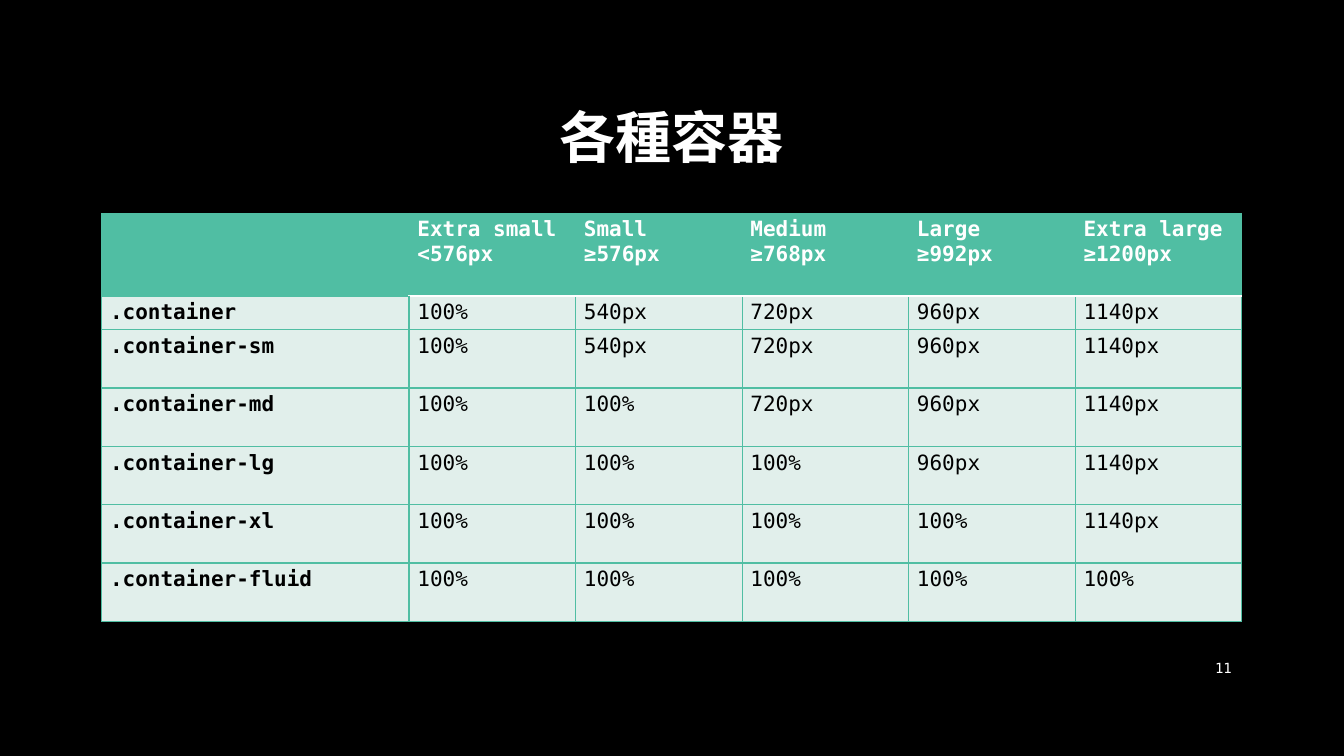
from lxml.etree import SubElement
from pptx import Presentation
from pptx.dml.color import RGBColor
from pptx.enum.text import MSO_ANCHOR, PP_ALIGN
from pptx.oxml.ns import qn
from pptx.util import Pt

FONT = "DejaVu Sans Mono"
BLACK, WHITE, GREEN, MINT = "000000", "FFFFFF", "50BEA3", "E1EFEB"

COLUMN_WIDTHS = [219.6] + [118.95] * 5
ROW_HEIGHTS = [59.2, 23.6] + [41.65] * 5
# A vertical tab is a line break inside a paragraph.
CONTAINER_WIDTHS = [
    ["", "Extra small\v<576px", "Small\v≥576px", "Medium\v≥768px",
     "Large\v≥992px", "Extra large\v≥1200px"],
    [".container", "100%", "540px", "720px", "960px", "1140px"],
    [".container-sm", "100%", "540px", "720px", "960px", "1140px"],
    [".container-md", "100%", "100%", "720px", "960px", "1140px"],
    [".container-lg", "100%", "100%", "100%", "960px", "1140px"],
    [".container-xl", "100%", "100%", "100%", "100%", "1140px"],
    [".container-fluid", "100%", "100%", "100%", "100%", "100%"],
]


def paint(fill, color):
    fill.solid()
    fill.fore_color.rgb = RGBColor.from_string(color)


def write(tf, text, size, color, bold=False):
    tf.text = text
    p = tf.paragraphs[0]
    for r in p.runs:
        r.font.name = FONT
        r.font.size = Pt(size)
        r.font.bold = bold
        r.font.color.rgb = RGBColor.from_string(color)
    for br in p._p.findall(qn("a:br")):
        SubElement(br, qn("a:rPr"), sz=str(size * 100))
    return p


def add_label(slide, box, text, size, align, bold=False):
    tf = slide.shapes.add_textbox(*map(Pt, box)).text_frame
    tf.word_wrap = True
    tf.vertical_anchor = MSO_ANCHOR.MIDDLE
    p = write(tf, text, size, WHITE, bold)
    p.alignment = align
    return p


def set_borders(cell, **sides):
    """Draw borders given as L, R, T, B = (colour, width)."""
    tc_pr = cell._tc.get_or_add_tcPr()
    for i, side in enumerate("LRTB"):
        color, width = sides[side]
        ln = tc_pr.makeelement(qn("a:ln" + side), {"w": str(Pt(width))})
        solid = SubElement(ln, qn("a:solidFill"))
        SubElement(solid, qn("a:srgbClr"), val=color)
        tc_pr.insert(i, ln)


def format_cell(cell, row, col, text):
    header, first = row == 0, col == 0
    write(cell.text_frame, text, 15, WHITE if header else BLACK, header or first)
    cell.margin_left = cell.margin_right = Pt(6)
    cell.margin_top = cell.margin_bottom = Pt(3)
    paint(cell.fill, GREEN if header else MINT)
    thin, thick, rule = (GREEN, 1), (GREEN, 1.5), (WHITE, 1.5)
    set_borders(
        cell,
        L=thick if col == 1 and not header else thin,
        R=thick if first and not header else thin,
        T=rule if row == 1 and not first else thin,
        B=rule if header and not first else thin,
    )


def add_width_table(slide, left, top):
    frame = slide.shapes.add_table(
        len(ROW_HEIGHTS), len(COLUMN_WIDTHS), Pt(left), Pt(top),
        Pt(sum(COLUMN_WIDTHS)), Pt(sum(ROW_HEIGHTS)))
    table = frame.table
    table.horz_banding = False
    for column, width in zip(table.columns, COLUMN_WIDTHS):
        column.width = Pt(width)
    for row, height in zip(table.rows, ROW_HEIGHTS):
        row.height = Pt(height)
    for i, texts in enumerate(CONTAINER_WIDTHS):
        for j, text in enumerate(texts):
            format_cell(table.cell(i, j), i, j, text)


def main():
    prs = Presentation()
    prs.slide_width, prs.slide_height = Pt(960), Pt(540)
    slide = prs.slides.add_slide(prs.slide_layouts[6])
    paint(slide.background.fill, BLACK)
    title = add_label(slide, (72, 48, 815, 104.4), "各種容器", 40,
                      PP_ALIGN.CENTER, bold=True)
    title.line_spacing = 0.9
    add_width_table(slide, 72.6, 152.4)
    add_label(slide, (828, 463, 59, 28.8), "11", 10, PP_ALIGN.RIGHT)
    prs.save("out.pptx")


if __name__ == "__main__":
    main()
